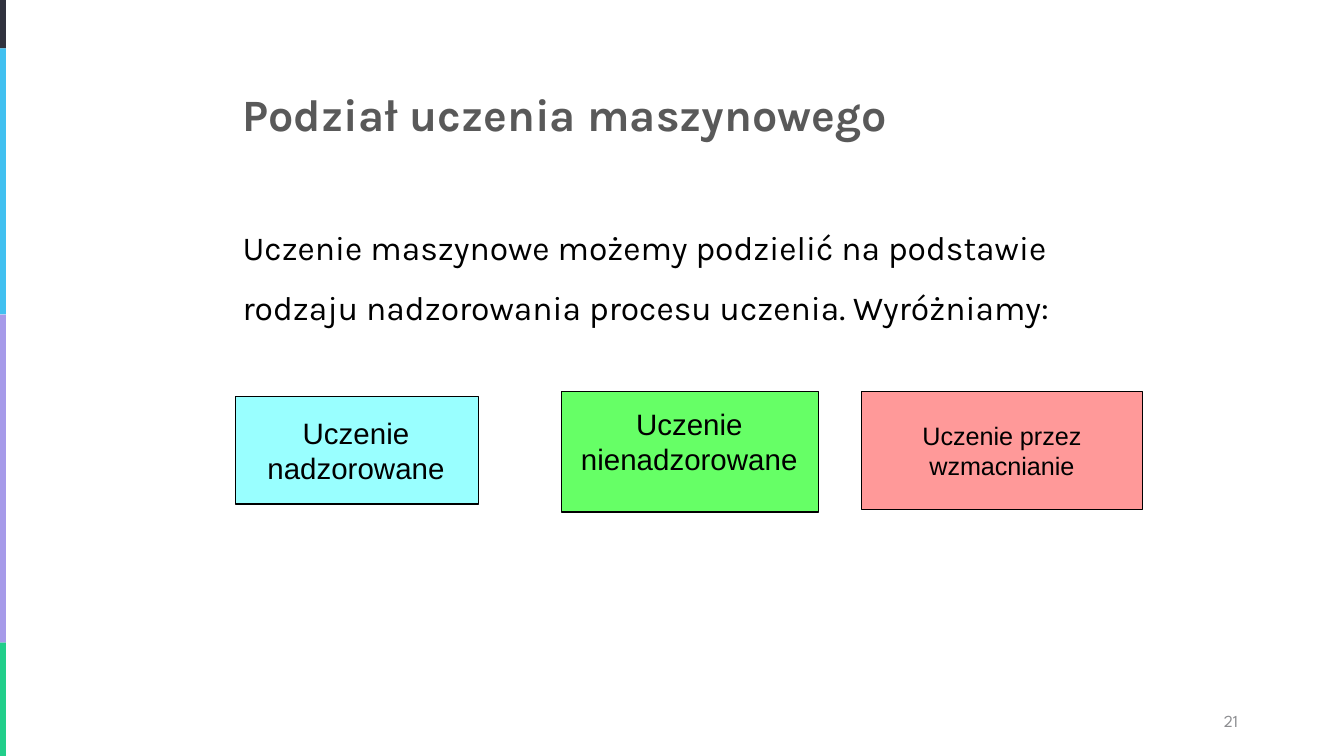
from pptx import Presentation
from pptx.dml.color import RGBColor
from pptx.enum.shapes import MSO_SHAPE
from pptx.enum.text import MSO_ANCHOR, PP_ALIGN
from pptx.util import Inches, Pt

RECT = MSO_SHAPE.RECTANGLE
TOP, MIDDLE = MSO_ANCHOR.TOP, MSO_ANCHOR.MIDDLE
LEFT, CENTER, RIGHT = PP_ALIGN.LEFT, PP_ALIGN.CENTER, PP_ALIGN.RIGHT

WIDTH = Inches(10)
HEIGHT = WIDTH * 9 // 16
COLORS = {
    "navy": "30323E", "blue": "41C0F0", "violet": "A69AE9", "mint": "21CE8A",
    "title": "595959", "black": "000000", "number": "8C8D90",
    "cyan": "99FFFF", "green": "66FF66", "red": "FF9999",
}

# Left edge stripes: colour and top, in percent of the height
STRIPES = [("navy", 0), ("blue", 6.4), ("violet", 41.6), ("mint", 85)]

# Kinds of learning: text, fill, size, box area, label area (None: in the box)
KINDS = [
    ("Uczenie nadzorowane", "cyan", 15.8,
     (17.5, 52.48, 18.1, 14.22), (19.2, 54.25, 14.6, 10.67)),
    ("Uczenie nienadzorowane", "green", 15.8,
     (41.8, 51.76, 19.1, 16), (42.6, 53, 17.4, 10.67)),
    ("Uczenie przez wzmacnianie", "red", 13.5,
     (64.1, 51.76, 20.9, 15.64), None),
]


def color(name):
    return RGBColor.from_string(COLORS[name])


def place(area):
    """Turn left, top, width, height in percent of the slide into lengths."""
    sides = (WIDTH, HEIGHT, WIDTH, HEIGHT)
    return [round(side * part / 100) for side, part in zip(sides, area)]


def add_box(slide, area, fill, line=None):
    box = slide.shapes.add_shape(RECT, *place(area))
    box.shadow.inherit = False
    box.fill.solid()
    box.fill.fore_color.rgb = color(fill)
    if line:
        box.line.color.rgb = color(line)
        box.line.width = Pt(0.75)
    else:
        box.line.fill.background()
    return box


def write(shape, text, size, font="Karla", ink="black", align=LEFT,
          anchor=MIDDLE, inset=0.04, bold=False, spacing=1):
    frame = shape.text_frame
    frame.word_wrap = True
    frame.vertical_anchor = anchor
    frame.margin_left = frame.margin_right = Inches(inset)
    frame.margin_top = frame.margin_bottom = Inches(min(inset, 0.05))
    line = frame.paragraphs[0]
    line.text = text
    line.alignment = align
    line.line_spacing = spacing
    line.font.name = font
    line.font.size = Pt(size)
    line.font.bold = bold
    line.font.color.rgb = color(ink)


def add_text(slide, area, text, size, **style):
    write(slide.shapes.add_textbox(*place(area)), text, size, **style)


def add_kind(slide, text, fill, size, area, label):
    box = add_box(slide, area, fill, "black")
    if label:
        add_text(slide, label, text, size, font="Arial", align=CENTER)
    else:
        write(box, text, size, font="Arial", align=CENTER, inset=0)


def main():
    deck = Presentation()
    deck.slide_width, deck.slide_height = WIDTH, HEIGHT
    slide = deck.slides.add_slide(deck.slide_layouts[6])

    # Stripes, each reaching down to the next
    ends = [top for _, top in STRIPES[1:]] + [100]
    for (fill, top), end in zip(STRIPES, ends):
        add_box(slide, (0, top, 0.45, end - top), fill)

    # Page number, title and body
    add_text(slide, (70.6, 92.66, 22.5, 5.33), "21", 9, font="League Spartan",
             ink="number", align=RIGHT, inset=0.1)
    add_text(slide, (17.65, 10.7, 64.7, 8.53), "Podział uczenia maszynowego",
             24, ink="title", bold=True)
    add_text(slide, (17.65, 26.6, 64.7, 17.42),
             "Uczenie maszynowe możemy podzielić na podstawie "
             "rodzaju nadzorowania procesu uczenia. Wyróżniamy:",
             18, anchor=TOP, spacing=1.5)

    # Kinds of learning
    for kind in KINDS:
        add_kind(slide, *kind)

    deck.save("out.pptx")


if __name__ == "__main__":
    main()
